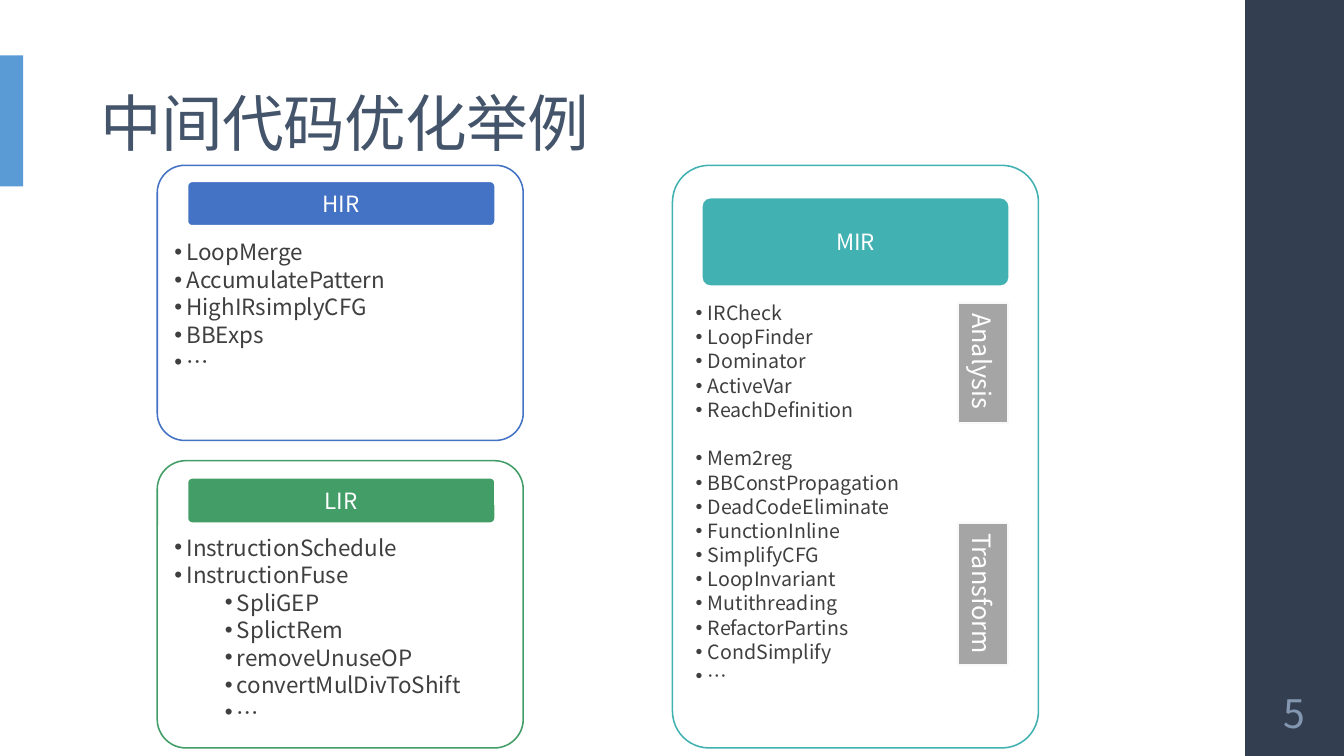
"""Build the slide that lists optimisation passes for each intermediate representation."""

from dataclasses import dataclass

from pptx import Presentation
from pptx.dml.color import RGBColor
from pptx.enum.shapes import MSO_SHAPE
from pptx.enum.text import MSO_ANCHOR, MSO_AUTO_SIZE, PP_ALIGN
from pptx.oxml.ns import qn
from pptx.oxml.xmlchemy import OxmlElement
from pptx.shapes.autoshape import Shape
from pptx.slide import Slide
from pptx.text.text import TextFrame, _Paragraph
from pptx.util import Inches, Pt


@dataclass(frozen=True)
class Theme:
    font: str = "Noto Sans CJK SC"
    white: str = "FFFFFF"
    title: str = "44546A"
    body: str = "3F3F3F"
    sidebar: str = "333F50"
    accent: str = "5B9BD5"
    number: str = "8497B0"
    tag: str = "A5A5A5"
    tag_line: str = "F9F9F9"
    high: str = "4472C4"
    middle: str = "42B1B2"
    low: str = "439D66"
    title_size: float = 44
    number_size: float = 28
    tag_size: float = 18
    header_size: float = 16
    list_size: float = 16
    dense_list_size: float = 14
    line_width: float = 1.1
    tag_line_width: float = 1.35


@dataclass(frozen=True)
class Box:
    left: float
    top: float
    width: float
    height: float


@dataclass(frozen=True)
class Item:
    text: str
    level: int = 0
    gap_after: float = 0


@dataclass(frozen=True)
class Panel:
    name: str
    color: str
    frame: Box
    header: Box
    body: Box
    size: float
    pitch: float
    placeholder: int
    items: tuple[Item, ...]


@dataclass(frozen=True)
class Tag:
    text: str
    box: Box


THEME = Theme()
BULLET_INDENT = 0.12
LEVEL_STEP = 0.5
CORNER = 0.1

PANELS = (
    Panel("MIR", THEME.middle, Box(6.67, 1.64, 3.63, 5.78), Box(6.96, 1.96, 3.05, 0.88),
          Box(6.9, 2.98, 2.55, 4.2), THEME.dense_list_size, 17.25, 1,
          (Item("IRCheck"), Item("LoopFinder"), Item("Dominator"), Item("ActiveVar"),
           Item("ReachDefinition", gap_after=17.5), Item("Mem2reg"),
           Item("BBConstPropagation"), Item("DeadCodeEliminate"), Item("FunctionInline"),
           Item("SimplifyCFG"), Item("LoopInvariant"), Item("Mutithreading"),
           Item("RefactorPartins"), Item("CondSimplify"), Item("…"))),
    Panel("HIR", THEME.high, Box(1.56, 1.64, 3.63, 2.73), Box(1.86, 1.8, 3.05, 0.44),
          Box(1.73, 2.36, 3.3, 1.6), THEME.list_size, 19.65, 2,
          (Item("LoopMerge"), Item("AccumulatePattern"), Item("HighIRsimplyCFG"),
           Item("BBExps"), Item("…"))),
    Panel("LIR", THEME.low, Box(1.56, 4.57, 3.63, 2.85), Box(1.86, 4.74, 3.05, 0.45),
          Box(1.73, 5.29, 3.3, 2), THEME.list_size, 19.65, 3,
          (Item("InstructionSchedule"), Item("InstructionFuse"), Item("SpliGEP", 1),
           Item("SplictRem", 1), Item("removeUnuseOP", 1), Item("convertMulDivToShift", 1),
           Item("…", 1))),
)

TAGS = (
    Tag("Analysis", Box(9.5, 3.01, 0.5, 1.19)),
    Tag("Transform", Box(9.5, 5.19, 0.5, 1.41)),
)


def place(shape: Shape, box: Box) -> None:
    shape.left, shape.top = Inches(box.left), Inches(box.top)
    shape.width, shape.height = Inches(box.width), Inches(box.height)


def set_margins(frame: TextFrame, margin: float) -> None:
    frame.margin_left = frame.margin_right = Inches(margin)
    frame.margin_top = frame.margin_bottom = Inches(margin)


def style_paragraph(paragraph: _Paragraph, size: float, color: str,
                    alignment: PP_ALIGN = PP_ALIGN.CENTER) -> None:
    paragraph.alignment = alignment
    font = paragraph.font
    font.name, font.size, font.bold = THEME.font, Pt(size), False
    font.color.rgb = RGBColor.from_string(color)
    east_asian = OxmlElement("a:ea")
    east_asian.set("typeface", THEME.font)
    paragraph._p.pPr.find(qn("a:defRPr")).append(east_asian)


def add_box(slide: Slide, kind: MSO_SHAPE, box: Box, fill: str,
            line: str | None = None, line_width: float = THEME.line_width) -> Shape:
    shape = slide.shapes.add_shape(kind, 0, 0, 0, 0)
    place(shape, box)
    shape.shadow.inherit = False
    shape.fill.solid()
    shape.fill.fore_color.rgb = RGBColor.from_string(fill)
    if line is None:
        shape.line.fill.background()
    else:
        shape.line.color.rgb = RGBColor.from_string(line)
        shape.line.width = Pt(line_width)
    if kind == MSO_SHAPE.ROUNDED_RECTANGLE:
        shape.adjustments[0] = CORNER
    return shape


def write_label(shape: Shape, text: str, size: float, color: str) -> None:
    frame = shape.text_frame
    frame.word_wrap = True
    frame.vertical_anchor = MSO_ANCHOR.MIDDLE
    set_margins(frame, 0.05)
    frame.text = text
    style_paragraph(frame.paragraphs[0], size, color)


def add_title(slide: Slide, text: str) -> None:
    title = slide.shapes.title
    place(title, Box(0.9, 0.83, 10.66, 0.81))
    frame = title.text_frame
    frame.auto_size = MSO_AUTO_SIZE.NONE
    frame.vertical_anchor = MSO_ANCHOR.BOTTOM
    frame.text = text
    paragraph = frame.paragraphs[0]
    style_paragraph(paragraph, THEME.title_size, THEME.title, PP_ALIGN.LEFT)
    paragraph.line_spacing = 0.9
    paragraph._p.pPr.find(qn("a:defRPr")).set("spc", "-50")


def format_item(paragraph: _Paragraph, item: Item, panel: Panel) -> None:
    style_paragraph(paragraph, panel.size, THEME.body, PP_ALIGN.LEFT)
    paragraph.level = item.level
    paragraph.line_spacing = Pt(panel.pitch)
    paragraph.space_before, paragraph.space_after = Pt(0), Pt(item.gap_after)
    properties = paragraph._p.pPr
    properties.set("marL", str(Inches(BULLET_INDENT + LEVEL_STEP * item.level)))
    properties.set("indent", str(-Inches(BULLET_INDENT)))
    bullet = OxmlElement("a:buChar")
    bullet.set("char", "•")
    properties.find(qn("a:defRPr")).addprevious(bullet)


def add_panel(slide: Slide, panel: Panel) -> None:
    outline = add_box(slide, MSO_SHAPE.ROUNDED_RECTANGLE, panel.frame, THEME.white, panel.color)
    header = add_box(slide, MSO_SHAPE.ROUNDED_RECTANGLE, panel.header, panel.color, THEME.white)
    write_label(header, panel.name, THEME.header_size, THEME.white)
    body = slide.placeholders[panel.placeholder]
    body._element.addprevious(outline._element)
    place(body, panel.body)
    frame = body.text_frame
    frame.auto_size = MSO_AUTO_SIZE.NONE
    frame.vertical_anchor = MSO_ANCHOR.TOP
    set_margins(frame, 0)
    frame.text = "\n".join(item.text for item in panel.items)
    for paragraph, item in zip(frame.paragraphs, panel.items):
        format_item(paragraph, item, panel)


def add_tag(slide: Slide, tag: Tag) -> None:
    shape = add_box(slide, MSO_SHAPE.RECTANGLE, tag.box, THEME.tag,
                    THEME.tag_line, THEME.tag_line_width)
    write_label(shape, tag.text, THEME.tag_size, THEME.white)
    shape.text_frame._txBody.bodyPr.set("vert", "eaVert")


def main() -> None:
    presentation = Presentation()
    presentation.slide_width, presentation.slide_height = Inches(13.33), Inches(7.5)
    slide = presentation.slides.add_slide(presentation.slide_layouts.get_by_name("Comparison"))
    unused = slide.placeholders[4]._element
    unused.getparent().remove(unused)
    add_box(slide, MSO_SHAPE.RECTANGLE, Box(12.35, 0, 0.98, 7.5), THEME.sidebar)
    add_box(slide, MSO_SHAPE.RECTANGLE, Box(0, 0.55, 0.23, 1.3), THEME.accent)
    add_title(slide, "中间代码优化举例")
    number = slide.shapes.add_textbox(Inches(12.35), Inches(6.75), Inches(0.98), Inches(0.65))
    write_label(number, "5", THEME.number_size, THEME.number)
    for panel in PANELS:
        add_panel(slide, panel)
    for tag in TAGS:
        add_tag(slide, tag)
    presentation.save("out.pptx")


if __name__ == "__main__":
    main()
